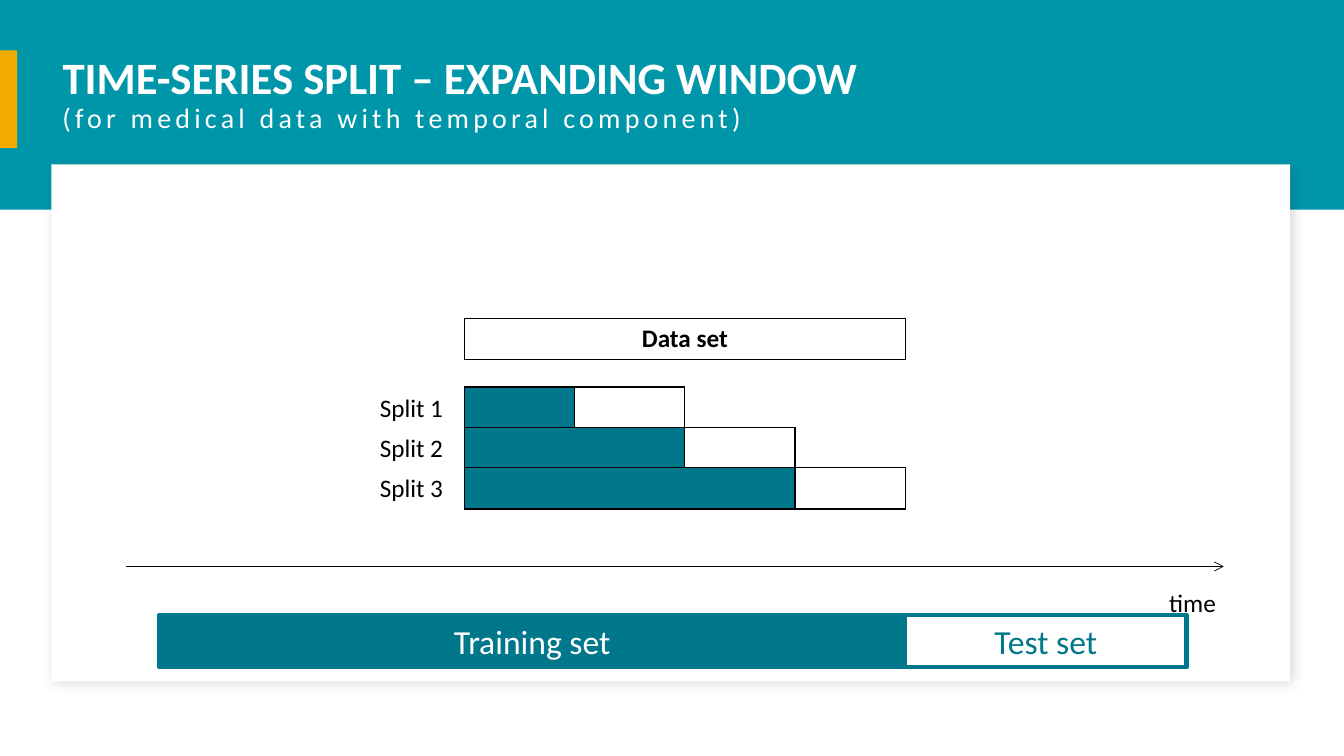
from dataclasses import dataclass

from lxml import etree
from pptx import Presentation
from pptx.dml.color import RGBColor
from pptx.enum.shapes import MSO_CONNECTOR, MSO_SHAPE
from pptx.enum.text import MSO_ANCHOR, MSO_AUTO_SIZE, PP_ALIGN
from pptx.oxml import parse_xml
from pptx.oxml.ns import nsdecls, qn
from pptx.util import Inches, Pt

RECTANGLE = MSO_SHAPE.RECTANGLE
STRAIGHT = MSO_CONNECTOR.STRAIGHT
TOP, MIDDLE = MSO_ANCHOR.TOP, MSO_ANCHOR.MIDDLE
LEFT, CENTER = PP_ALIGN.LEFT, PP_ALIGN.CENTER
FIT_SHAPE, NO_FIT = MSO_AUTO_SIZE.SHAPE_TO_FIT_TEXT, MSO_AUTO_SIZE.NONE

SLIDE_COLUMNS, SLIDE_ROWS = 133.33, 75


@dataclass(frozen=True)
class Theme:
    font: str = "Calibri"
    band: str = "0096A9"
    accent: str = "F3AB00"
    training: str = "00778A"
    white: str = "FFFFFF"
    black: str = "000000"
    heading: int = 32
    set_name: int = 24
    subtitle: int = 20
    label: int = 18


class SplitSlide:
    """Draws on one slide; every length is a count of grid cells, 0.1 inch each."""

    def __init__(self, presentation, theme):
        self.theme = theme
        self.slide = presentation.slides.add_slide(presentation.slide_layouts[5])
        self.shapes = self.slide.shapes

    def cells(self, *counts):
        return [Inches(count / 10) for count in counts]

    def put_text(self, frame, text, size, color, bold=False, align=LEFT):
        frame.text = text
        paragraph = frame.paragraphs[0]
        paragraph.alignment = align
        font = paragraph.runs[0].font
        font.name, font.size, font.bold = self.theme.font, Pt(size), bold
        font.color.rgb = RGBColor.from_string(color)
        return paragraph

    def rectangle(self, area, fill=None, outline=None):
        shape = self.shapes.add_shape(RECTANGLE, *self.cells(*area))
        shape.shadow.inherit = False
        if fill:
            shape.fill.solid()
            shape.fill.fore_color.rgb = RGBColor.from_string(fill)
        else:
            shape.fill.background()
        if outline:
            shape.line.color.rgb = RGBColor.from_string(outline)
            shape.line.width = Pt(3)
        else:
            shape.line.fill.background()
        return shape

    def card(self, area):
        """White panel with a soft shadow."""
        panel = self.rectangle(area, self.theme.white)
        effects = panel._element.spPr.find(qn("a:effectLst"))
        effects.append(parse_xml(
            f'<a:outerShdw {nsdecls("a")} blurRad="{Pt(9)}" dist="{Pt(3)}" dir="2700000" '
            f'algn="tl" rotWithShape="0"><a:srgbClr val="{self.theme.black}">'
            '<a:alpha val="15000"/></a:srgbClr></a:outerShdw>'))

    def title(self, text, area):
        heading = self.shapes.title
        heading.left, heading.top, heading.width, heading.height = self.cells(*area)
        self.shapes._spTree.append(heading._element)  # in front of the band
        frame = heading.text_frame
        frame.auto_size, frame.vertical_anchor, frame.word_wrap = NO_FIT, TOP, True
        line = self.put_text(frame, text, self.theme.heading, self.theme.white, bold=True)
        line.line_spacing = 0.9

    def subtitle(self, text, area):
        frame = self.shapes.add_textbox(*self.cells(*area)).text_frame
        frame.word_wrap, frame.vertical_anchor = True, MIDDLE
        line = self.put_text(frame, text, self.theme.subtitle, self.theme.white)
        line.line_spacing = 0.9
        line.runs[0].font._element.set("spc", "300")

    def label(self, text, area):
        frame = self.shapes.add_textbox(*self.cells(*area)).text_frame
        frame.word_wrap, frame.auto_size = False, FIT_SHAPE
        self.put_text(frame, text, self.theme.label, self.theme.black)

    def named_set(self, text, area, fill, color):
        block = self.rectangle(area, fill, self.theme.training)
        block.text_frame.vertical_anchor = MIDDLE
        self.put_text(block.text_frame, text, self.theme.set_name, color, align=CENTER)

    def bar(self, left, top, height, parts):
        """One-row table; parts are (width, fill or None, text or None)."""
        total = sum(width for width, _, _ in parts)
        table = self.shapes.add_table(
            1, len(parts), *self.cells(left, top, total, height)).table
        table.first_row = table.horz_banding = False
        for index, (width, fill, text) in enumerate(parts):
            table.columns[index].width = self.cells(width)[0]
            cell = table.cell(0, index)
            self.border(cell)
            if fill:
                cell.fill.solid()
                cell.fill.fore_color.rgb = RGBColor.from_string(fill)
            else:
                cell.fill.background()
            if text:
                self.put_text(cell.text_frame, text, self.theme.label,
                              self.theme.black, bold=True, align=CENTER)

    def border(self, cell):
        properties = cell._tc.get_or_add_tcPr()
        for side in "LRTB":
            properties.append(parse_xml(
                f'<a:ln{side} {nsdecls("a")} w="{Pt(1)}"><a:solidFill>'
                f'<a:srgbClr val="{self.theme.black}"/></a:solidFill></a:ln{side}>'))

    def arrow(self, start, end, row):
        axis = self.shapes.add_connector(STRAIGHT, *self.cells(start, row, end, row))
        axis.line.color.rgb = RGBColor.from_string(self.theme.black)
        axis.line.width = Pt(0.5)
        etree.SubElement(axis.line._get_or_add_ln(), qn("a:tailEnd"), type="arrow")
        etree.SubElement(axis._element.spPr, qn("a:effectLst"))


def main():
    presentation = Presentation()
    presentation.slide_width = Inches(SLIDE_COLUMNS / 10)
    presentation.slide_height = Inches(SLIDE_ROWS / 10)
    theme = Theme()
    page = SplitSlide(presentation, theme)

    page.rectangle((0, 0, SLIDE_COLUMNS, 20.8), theme.band)
    page.card((5.1, 16.3, 122.9, 51.3))
    page.rectangle((0, 5, 1.7, 9.7), theme.accent)
    page.title("TIME-SERIES SPLIT – EXPANDING WINDOW", (5.2, 5, 124.1, 4.5))
    page.subtitle("(for medical data with temporal component)", (5.2, 10.2, 124.1, 3.2))

    page.arrow(12.5, 121.4, 56.2)
    page.label("time", (115, 57.8, 6.7, 4))

    data_left, data_width, bar_height = 46.1, 43.7, 4.1
    fold = data_width / 4
    page.bar(data_left, 31.6, bar_height, [(data_width, theme.white, "Data set")])
    for split in range(1, 4):
        top = 38.4 + 4 * (split - 1)
        page.bar(data_left, top, bar_height,
                 [(split * fold, theme.training, None), (fold, None, None)])
        page.label(f"Split {split}", (36.7, top, 8.4, 4))

    sets_left, sets_top, sets_height = 15.8, 61, 5.2
    data_end = data_left + data_width
    page.named_set("Training set", (sets_left, sets_top, data_end - sets_left, sets_height),
                   theme.training, theme.white)
    page.named_set("Test set", (data_end, sets_top, 27.9, sets_height),
                   None, theme.training)

    presentation.save("out.pptx")


if __name__ == "__main__":
    main()
